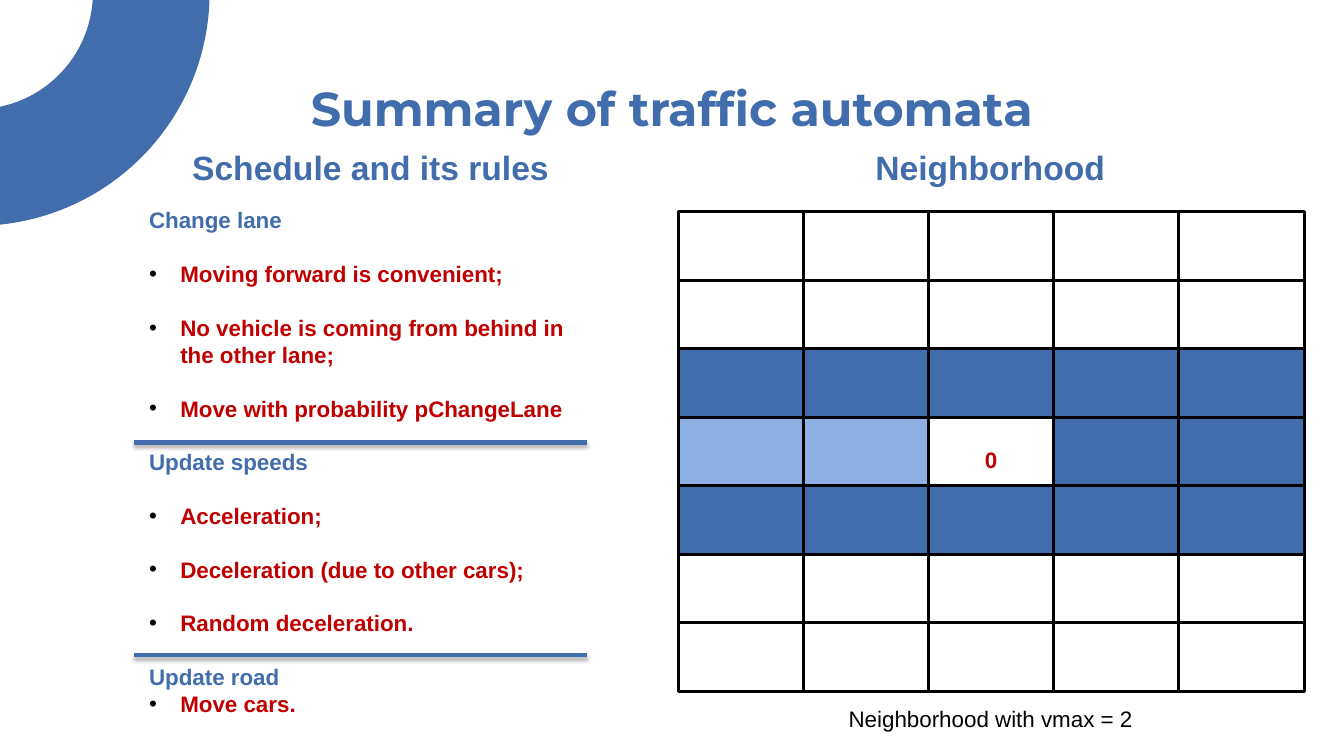
import dataclasses
import typing

import lxml.etree
import pptx
import pptx.dml.color
import pptx.enum.shapes
import pptx.enum.text
import pptx.oxml
import pptx.oxml.ns
import pptx.util

Inches = pptx.util.Inches
Pt = pptx.util.Pt
Kind = pptx.enum.shapes.MSO_SHAPE
Align = pptx.enum.text.PP_ALIGN
qn = pptx.oxml.ns.qn
Box = tuple[float, float, float, float]


@dataclasses.dataclass(frozen=True)
class Theme:
    blue: str = "416DAC"
    pale: str = "8CB0E4"
    red: str = "C00000"
    black: str = "000000"
    white: str = "FFFFFF"
    face: str = "Arial"
    title_face: str = "Montserrat"
    title: float = 34
    head: float = 24
    body: float = 16
    line: float = 19.2


THEME = Theme()


@dataclasses.dataclass(frozen=True)
class Label:
    text: str
    box: Box
    size: float
    color: str
    bold: bool = True


@dataclasses.dataclass(frozen=True)
class Stage:
    name: str
    rules: tuple[str, ...]
    gap: float = THEME.line


LABELS = (
    Label("Schedule and its rules", (1.33, 1.41, 4.69, 0.5), THEME.head, THEME.blue),
    Label("Neighborhood", (7.41, 1.41, 4.82, 0.5), THEME.head, THEME.blue),
    Label("0", (9.67, 4.38, 0.32, 0.37), THEME.body, THEME.red),
    Label("Neighborhood with vmax = 2", (6.71, 6.95, 6.23, 0.37), THEME.body, THEME.black, False),
)
STAGES = (
    Stage("Change lane", (
        "Moving forward is convenient;",
        "No vehicle is coming from behind in the other lane;",
        "Move with probability pChangeLane",
    )),
    Stage("Update speeds", (
        "Acceleration;",
        "Deceleration (due to other cars);",
        "Random deceleration.",
    )),
    Stage("Update road", ("Move cars.",), 0),
)
# One letter per cell: w white, b blue, p pale blue
ROWS = ("wwwww", "wwwww", "bbbbb", "ppwbb", "bbbbb", "wwwww", "wwwww")
FILLS = {"w": THEME.white, "b": THEME.blue, "p": THEME.pale}
RULES_Y = (4.39, 6.5)


def rgb(code: str) -> pptx.dml.color.RGBColor:
    return pptx.dml.color.RGBColor.from_string(code)


def apply(target: typing.Any, form: dict[str, typing.Any]) -> None:
    for key, value in form.items():
        setattr(target, key, value)


def place(shape: typing.Any, box: Box) -> None:
    sides = ("left", "top", "width", "height")
    apply(shape, {side: Inches(n) for side, n in zip(sides, box)})


def write(par: typing.Any, text: str, size: float, color: str,
          bold: bool = True, face: str = THEME.face) -> None:
    run = par.add_run()
    run.text = text
    apply(run.font, {"size": Pt(size), "bold": bold, "name": face})
    run.font.color.rgb = rgb(color)


def add_box(slide: typing.Any, box: Box) -> typing.Any:
    frame = slide.shapes.add_textbox(*map(Inches, box)).text_frame
    apply(frame, {"word_wrap": True,
                  "auto_size": pptx.enum.text.MSO_AUTO_SIZE.SHAPE_TO_FIT_TEXT})
    return frame


def add_form(slide: typing.Any, kind: typing.Any, box: Box, fill: str) -> typing.Any:
    shape = slide.shapes.add_shape(kind, *map(Inches, box))
    shape.shadow.inherit = False
    shape.fill.solid()
    shape.fill.fore_color.rgb = rgb(fill)
    return shape


def add_arc(slide: typing.Any) -> None:
    arc = add_form(slide, Kind.BLOCK_ARC, (-2.55, -2.39, 4.63, 4.63), THEME.blue)
    for i, value in enumerate((97.2, 0, 0.25)):
        arc.adjustments[i] = value
    arc.rotation = 180
    arc.element.spPr.find(qn("a:xfrm")).set("flipH", "1")
    arc.line.fill.background()


def set_title(slide: typing.Any) -> None:
    title = slide.shapes.title
    place(title, (1.05, 0.65, 11.23, 0.84))
    frame = title.text_frame
    apply(frame, {f"margin_{side}": Inches(0.1) for side in ("left", "top", "right", "bottom")})
    frame.vertical_anchor = pptx.enum.text.MSO_ANCHOR.MIDDLE
    par = frame.paragraphs[0]
    par.alignment = Align.CENTER
    write(par, "Summary of traffic automata", THEME.title, THEME.blue, face=THEME.title_face)


def add_label(slide: typing.Any, label: Label) -> None:
    par = add_box(slide, label.box).paragraphs[0]
    par.alignment = Align.CENTER
    write(par, label.text, label.size, label.color, label.bold)


def add_bullet(par: typing.Any) -> None:
    props = par._p.get_or_add_pPr()
    props.set("marL", str(Inches(0.31)))
    props.set("indent", str(Inches(-0.31)))
    tint = lxml.etree.SubElement(props, qn("a:buClr"))
    lxml.etree.SubElement(tint, qn("a:srgbClr")).set("val", THEME.black)
    lxml.etree.SubElement(props, qn("a:buFont")).set("typeface", THEME.face)
    lxml.etree.SubElement(props, qn("a:buChar")).set("char", "•")


def add_stages(slide: typing.Any) -> None:
    frame = add_box(slide, (1.38, 2, 4.69, 5.22))
    for i, stage in enumerate(STAGES):
        par = frame.add_paragraph() if i else frame.paragraphs[0]
        apply(par, {"line_spacing": Pt(THEME.line), "space_before": Pt(THEME.line if i else 0)})
        write(par, stage.name, THEME.body, THEME.blue)
        for rule in stage.rules:
            par = frame.add_paragraph()
            apply(par, {"line_spacing": Pt(THEME.line), "space_before": Pt(stage.gap)})
            add_bullet(par)
            write(par, rule, THEME.body, THEME.red)


def add_rule(slide: typing.Any, y: float) -> None:
    """Draw a line with a soft shadow between two stages."""
    ends = map(Inches, (1.33, y, 5.82, y))
    rule = slide.shapes.add_connector(pptx.enum.shapes.MSO_CONNECTOR.STRAIGHT, *ends)
    rule.line.width = Pt(3)
    rule.line.color.rgb = rgb(THEME.blue)
    rule.element.spPr.append(pptx.oxml.parse_xml(
        f'<a:effectLst {pptx.oxml.ns.nsdecls("a")}>'
        f'<a:outerShdw blurRad="{Pt(3.1)}" dist="{Pt(1.8)}" dir="5400000" rotWithShape="0">'
        f'<a:srgbClr val="{THEME.black}"><a:alpha val="35000"/></a:srgbClr>'
        '</a:outerShdw></a:effectLst>'))


def add_grid(slide: typing.Any) -> None:
    for i, row in enumerate(ROWS):
        for j, mark in enumerate(row):
            box = (6.73 + 1.24 * j, 2.1 + 0.68 * i, 1.25, 0.68)
            cell = add_form(slide, Kind.RECTANGLE, box, FILLS[mark])
            cell.line.width = Pt(2)
            cell.line.color.rgb = rgb(THEME.black)


def main() -> None:
    deck = pptx.Presentation()
    apply(deck, {"slide_width": Inches(13.33), "slide_height": Inches(7.5)})
    slide = deck.slides.add_slide(deck.slide_layouts[5])
    add_arc(slide)
    set_title(slide)
    add_stages(slide)
    for y in RULES_Y:
        add_rule(slide, y)
    add_grid(slide)
    for label in LABELS:
        add_label(slide, label)
    deck.save("out.pptx")


if __name__ == "__main__":
    main()
